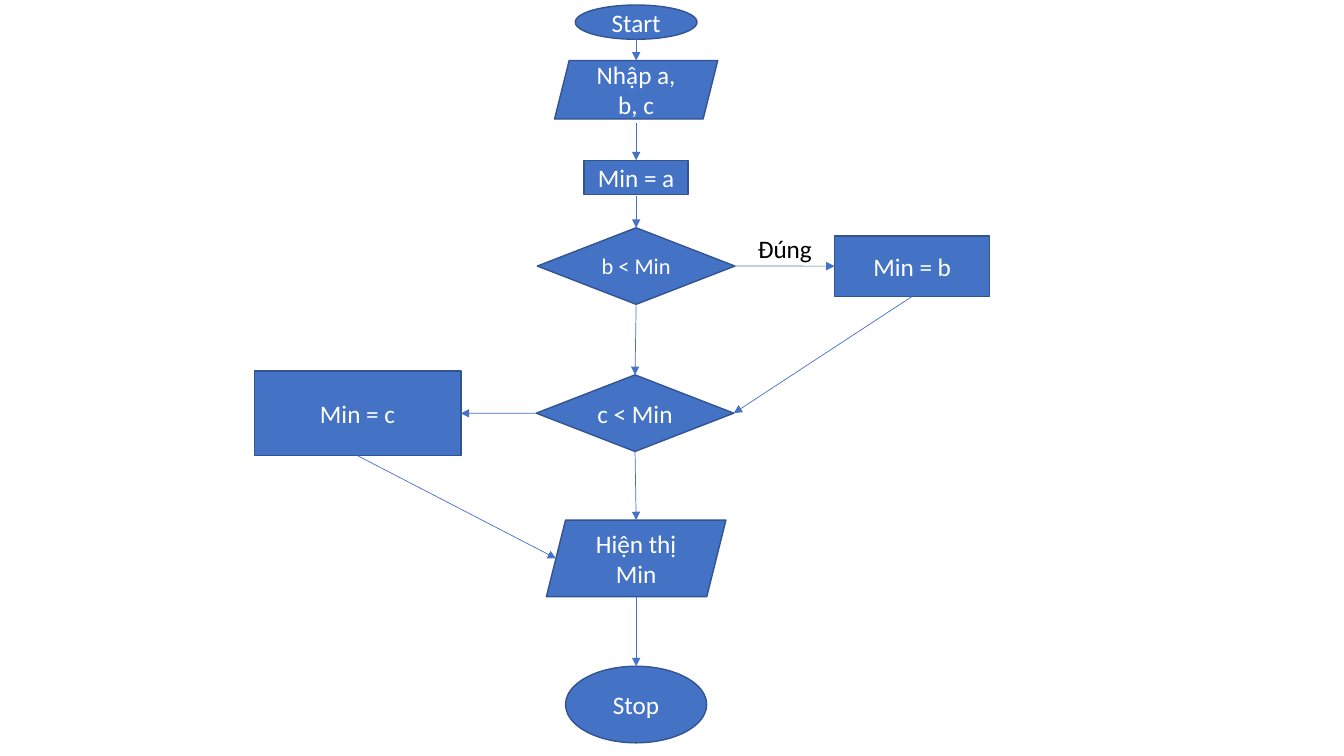
from dataclasses import dataclass

from lxml import etree
from pptx import Presentation
from pptx.dml.color import RGBColor
from pptx.enum.shapes import MSO_CONNECTOR, MSO_SHAPE
from pptx.enum.text import MSO_ANCHOR, MSO_AUTO_SIZE, PP_ALIGN
from pptx.oxml.ns import qn
from pptx.util import Pt


@dataclass(frozen=True)
class Theme:
    """Colours, type sizes and line widths of the flowchart."""
    font: str = "Calibri"
    fill: RGBColor = RGBColor(0x44, 0x72, 0xC4)
    outline: RGBColor = RGBColor(0x32, 0x54, 0x91)
    light: RGBColor = RGBColor(0xFF, 0xFF, 0xFF)
    dark: RGBColor = RGBColor(0, 0, 0)
    size: float = 18
    small: float = 16
    border: float = 1
    arrow: float = 0.5


THEME = Theme()
SPINE = 454.4
SLANT = 0.125

STEPS = {
    "start": ("Start", MSO_SHAPE.OVAL, SPINE, 3.6, 87, 24.5, THEME.size),
    "input": ("Nhập a, b, c", MSO_SHAPE.PARALLELOGRAM, SPINE, 43.2, 116.6, 41.8, THEME.size),
    "min_a": ("Min = a", MSO_SHAPE.RECTANGLE, SPINE, 114.5, 74.2, 24.5, THEME.size),
    "test_b": ("b < Min", MSO_SHAPE.DIAMOND, SPINE, 162.7, 141.1, 54.7, THEME.small),
    "min_b": ("Min = b", MSO_SHAPE.RECTANGLE, 651.6, 168.5, 110.9, 43.2, THEME.size),
    "test_c": ("c < Min", MSO_SHAPE.DIAMOND, 453.6, 267.8, 141.1, 54.7, THEME.size),
    "min_c": ("Min = c", MSO_SHAPE.RECTANGLE, 255.4, 265, 147.6, 60.5, THEME.size),
    "output": ("Hiện thị Min", MSO_SHAPE.PARALLELOGRAM, SPINE, 371.5, 128.2, 54.7, THEME.size),
    "stop": ("Stop", MSO_SHAPE.OVAL, SPINE, 475.9, 100.8, 54.7, THEME.size),
}

LINKS = [
    ("start", "bottom", "input", "top", 0),
    ("input", "bottom", "min_a", "top", 3),
    ("min_a", "bottom", "test_b", "top", 1),
    ("test_b", "right", "min_b", "left", 0),
    ("test_b", "bottom", "test_c", "top", 0),
    ("min_b", "bottom", "test_c", "right", 0),
    ("test_c", "left", "min_c", "right", 0),
    ("test_c", "bottom", "output", "top", 0),
    ("min_c", "bottom", "output", "left", 0),
    ("output", "bottom", "stop", "top", 0),
]


def write(shape, text, size, colour, align):
    """Put one formatted paragraph into a shape."""
    frame = shape.text_frame
    frame.word_wrap = True
    paragraph = frame.paragraphs[0]
    paragraph.alignment = align
    run = paragraph.add_run()
    run.text = text
    run.font.name = THEME.font
    run.font.size = Pt(size)
    run.font.color.rgb = colour
    return frame


def add_step(slide, origin, step):
    """Draw one flowchart step, centred on its given x."""
    text, kind, centre, top, width, height, size = step
    shape = slide.shapes.add_shape(
        kind, Pt(origin[0] + centre - width / 2), Pt(origin[1] + top), Pt(width), Pt(height))
    shape.shadow.inherit = False
    shape.fill.solid()
    shape.fill.fore_color.rgb = THEME.fill
    shape.line.color.rgb = THEME.outline
    shape.line.width = Pt(THEME.border)
    frame = write(shape, text, size, THEME.light, PP_ALIGN.CENTER)
    frame.vertical_anchor = MSO_ANCHOR.MIDDLE


def port(step, side):
    """Return the point where an arrow meets a side of a step."""
    _, kind, centre, top, width, height, _ = step
    inset = height * SLANT if kind == MSO_SHAPE.PARALLELOGRAM else 0
    reach = width / 2 - inset
    return {
        "top": (centre, top),
        "bottom": (centre, top + height),
        "left": (centre - reach, top + height / 2),
        "right": (centre + reach, top + height / 2),
    }[side]


def add_arrow(slide, origin, start, end):
    """Draw a thin straight arrow between two points."""
    points = [Pt(value + offset) for point in (start, end) for value, offset in zip(point, origin)]
    arrow = slide.shapes.add_connector(MSO_CONNECTOR.STRAIGHT, *points)
    arrow.line.color.rgb = THEME.fill
    arrow.line.width = Pt(THEME.arrow)
    etree.SubElement(arrow.line._get_or_add_ln(), qn("a:tailEnd"), type="triangle")
    etree.SubElement(arrow._element.spPr, qn("a:effectLst"))


def add_label(slide, text, left, top, width, height):
    """Write a branch label beside an arrow."""
    box = slide.shapes.add_textbox(Pt(left), Pt(top), Pt(width), Pt(height))
    frame = write(box, text, THEME.size, THEME.dark, PP_ALIGN.LEFT)
    frame.auto_size = MSO_AUTO_SIZE.SHAPE_TO_FIT_TEXT


def add_flowchart(slide, left, top):
    """Draw the minimum-of-three flowchart from the given corner."""
    origin = (left, top)
    for step in STEPS.values():
        add_step(slide, origin, step)
    for source, source_side, target, target_side, gap in LINKS:
        x, y = port(STEPS[source], source_side)
        add_arrow(slide, origin, (x, y + gap), port(STEPS[target], target_side))
    add_label(slide, "Đúng", left + 534.2, top + 163.4, 70.6, 28.8)


def main():
    """Build and save the presentation."""
    deck = Presentation()
    deck.slide_width, deck.slide_height = Pt(960), Pt(540)
    slide = deck.slides.add_slide(deck.slide_layouts[6])
    add_flowchart(slide, 0, 0)
    deck.save("out.pptx")


main()
